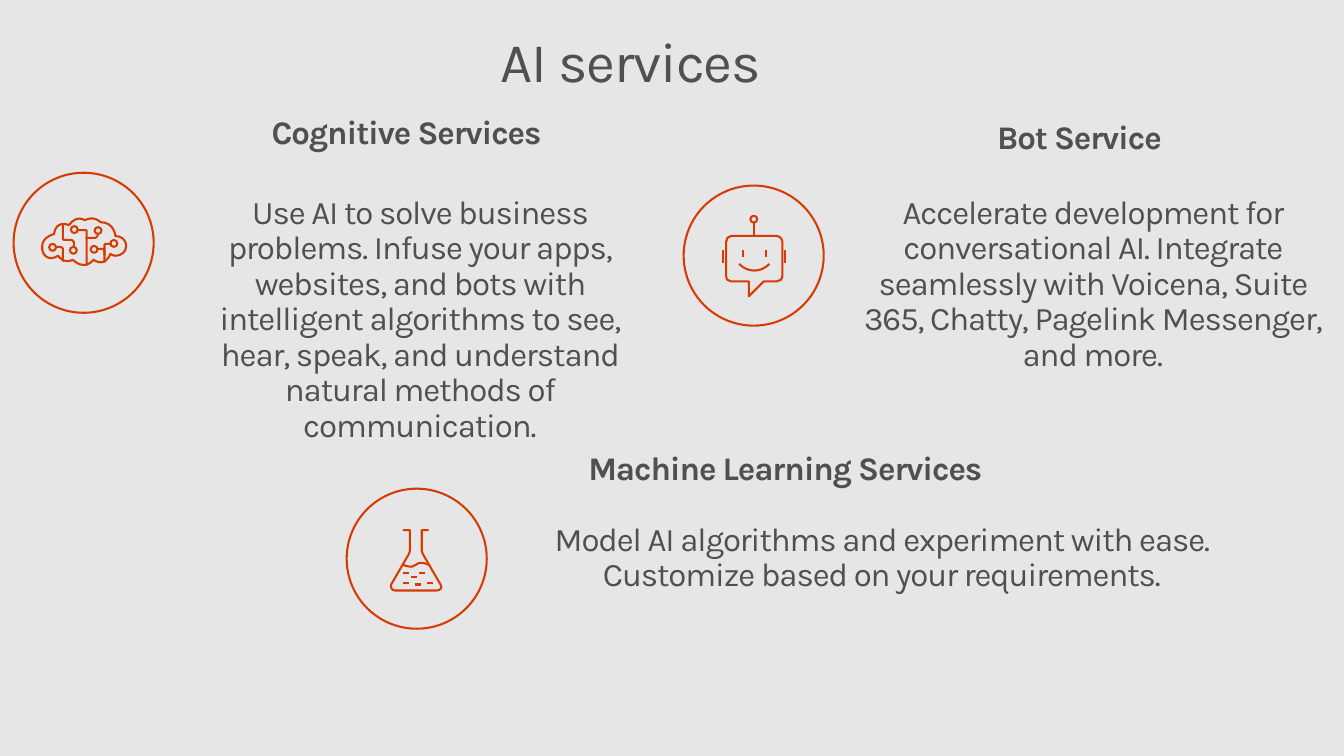
from pptx import Presentation
from pptx import util as u
from pptx.dml import color
from pptx.enum import shapes, text
from pptx.oxml import ns, xmlchemy

COLORS = {"background": "E6E6E6", "text": "505050", "accent": "D83B01"}
FONT = "Karla"
BADGE_SIZE = u.Cm(3.6)
ICON_UNIT = u.Cm(2.54) / 100
NODE_RADIUS = 3.5
NODE_HANDLE = 0.55 * NODE_RADIUS

BRAIN = {
    "nodes": [(101.5, 71.5), (81.5, 77.5), (61.5, 57.5),
              (85.5, 58.5), (60.5, 78.5), (39.5, 75.5)],
    "strokes": [
        "M 50 89 L 50 77 C 50 77 49 75 48 75 L 43 75",
        "M 74 93 L 74 59 C 74 58 73 58 72 58 L 65 58",
        "M 74 66 L 83 66 C 84 66 85 65 85 64 L 85 62",
        "M 50 52 L 50 67 C 50 68 51 68 52 68 L 59 68 C 60 68 61 69 61 70 L 61 75",
        "M 98 72 L 94 72 C 93 72 92 72 92 73 L 92 82",
        "M 92 90 L 92 79 C 92 78 92 77 90 77 L 85 77",
        "M 98 82 C 99 83 101 84 103 84 C 109 84 114 80 114 74 "
        "C 114 68 109 64 103 64 C 103 64 102 50 88 50 C 88 50 82 43 72 48 "
        "C 72 48 64 42 56 53 C 56 53 43 47 41 62 C 41 62 29 65 29 74 "
        "C 28 84 36 90 45 84 C 45 84 51 93 60 88 C 60 88 71 100 81 88 "
        "C 81 88 92 97 98 82 Z",
    ],
}
ROBOT = {
    "nodes": [(71, 34)],
    "strokes": [
        "M 60 66 L 60 71",
        "M 83 66 L 83 71",
        "M 40 66 L 40 77",
        "M 103 66 L 103 77",
        "M 71 38 L 71 51",
        "M 66 97 L 66 112 L 81 97 L 94 97 C 97 97 100 95 100 91 L 100 57 "
        "C 100 54 97 51 94 51 L 48 51 C 45 51 43 54 43 57 L 43 91 "
        "C 43 95 45 97 48 97 Z",
        "M 57 80 C 65 88 78 88 86 80",
    ],
}
BUBBLES = [(58, 95), (66, 89), (58, 85), (74, 85), (82, 95), (70, 97)]
FLASK = {
    "nodes": [],
    "strokes": [
        "M 83 77 C 83 77 79 75 75 75 C 70 75 70 79 66 79 C 61 79 57 77 57 77",
        "M 58 42 L 64 42 L 64 63 C 64 64 64 65 63 66 L 45 97 "
        "C 44 100 46 103 49 103 L 91 103 C 95 103 97 100 95 97 L 77 66 "
        "C 76 65 76 64 76 63 L 76 42 L 82 42",
    ] + [f"M {x} {y} L {x + 4} {y}" for x, y in BUBBLES],
}

SERVICES = [
    {
        "heading": "Cognitive Services",
        "heading_box": (3.53, 2.58, 13.84, 1.75),
        "body": "Use AI to solve business problems. Infuse your apps, websites, "
                "and bots with intelligent algorithms to see, hear, speak, and "
                "understand natural methods of communication.",
        "body_box": (4.21, 4.62, 13.16, 5.44),
        "icon": BRAIN,
        "badge": (0.35, 4.44),
    },
    {
        "heading": "Bot Service",
        "heading_box": (21.62, 2.69, 12.24, 1.75),
        "body": "Accelerate development for conversational AI. Integrate "
                "seamlessly with Voicena, Suite 365, Chatty, Pagelink Messenger, "
                "and more.",
        "body_box": (21.62, 4.62, 12.93, 5.44),
        "icon": ROBOT,
        "badge": (17.57, 4.77),
    },
    {
        "heading": "Machine Learning Services",
        "heading_box": (13.26, 11.22, 13.84, 1.75),
        "body": "Model AI algorithms and experiment with ease. Customize based "
                "on your requirements.",
        "body_box": (12.18, 13.03, 20.96, 2.67),
        "icon": FLASK,
        "badge": (8.91, 12.56),
    },
]


def rgb(name):
    return color.RGBColor.from_string(COLORS[name])


def add_text(slide, words, box, size=24, bold=False):
    caption = slide.shapes.add_textbox(*map(u.Cm, box))
    frame = caption.text_frame
    frame.word_wrap = True
    frame.auto_size = text.MSO_AUTO_SIZE.SHAPE_TO_FIT_TEXT
    frame.margin_left = frame.margin_right = u.Cm(0.51)
    frame.margin_top = frame.margin_bottom = u.Cm(0.41)
    paragraph = frame.paragraphs[0]
    paragraph.alignment = text.PP_ALIGN.CENTER
    paragraph.line_spacing = 0.9
    paragraph.space_after = u.Pt(6)
    run = paragraph.add_run()
    run.text = words
    run.font._element.set("spc", "-80")
    font = paragraph.font
    font.name = FONT
    font.size = u.Pt(size)
    font.bold = bold
    font.color.rgb = rgb("text")


def style_outline(outline):
    outline.shadow.inherit = False
    outline.fill.background()
    outline.line.color.rgb = rgb("accent")
    outline.line.width = u.Pt(1.5)
    outline.line._get_or_add_ln().set("cap", "sq")


def node_stroke(x, y):
    r, h = NODE_RADIUS, NODE_HANDLE
    return (f"M {x + r} {y} C {x + r} {y + h} {x + h} {y + r} {x} {y + r} "
            f"C {x - h} {y + r} {x - r} {y + h} {x - r} {y} "
            f"C {x - r} {y - h} {x - h} {y - r} {x} {y - r} "
            f"C {x + h} {y - r} {x + r} {y - h} {x + r} {y} Z")


def bend_curves(outline, commands):
    lines = iter(list(outline._element.iter(ns.qn("a:lnTo"))))
    for command in commands:
        line = next(lines)
        if command == "C":
            curve = xmlchemy.OxmlElement("a:cubicBezTo")
            line.addprevious(curve)
            for control in (line, next(lines), next(lines)):
                curve.append(control[0])
                control.getparent().remove(control)


def add_icon(slide, icon, left, top):
    strokes = [node_stroke(*node) for node in icon["nodes"]] + icon["strokes"]
    builder = None
    for stroke in strokes:
        values = [float(token) for token in stroke.split() if not token.isalpha()]
        points = [(left + x * ICON_UNIT, top + y * ICON_UNIT)
                  for x, y in zip(values[::2], values[1::2])]
        if builder is None:
            builder = slide.shapes.build_freeform(*points[0])
        else:
            builder.move_to(*points[0])
        builder.add_line_segments(points[1:], close=stroke.endswith("Z"))
    outline = builder.convert_to_shape()
    bend_curves(outline, [token for token in " ".join(strokes).split()
                          if token in ("L", "C")])
    style_outline(outline)


def add_badge(slide, icon, position):
    left, top = map(u.Cm, position)
    ring = slide.shapes.add_shape(
        shapes.MSO_SHAPE.OVAL, left, top, BADGE_SIZE, BADGE_SIZE)
    style_outline(ring)
    add_icon(slide, icon, left, top)


def main():
    deck = Presentation()
    deck.slide_width = u.Cm(34.54)
    deck.slide_height = u.Cm(19.43)
    slide = deck.slides.add_slide(deck.slide_layouts[6])
    slide.background.fill.solid()
    slide.background.fill.fore_color.rgb = rgb("background")
    add_text(slide, "AI services", (7.98, 0.46, 16.46, 2.39), size=40.8)
    for service in SERVICES:
        add_badge(slide, service["icon"], service["badge"])
        add_text(slide, service["heading"], service["heading_box"], bold=True)
        add_text(slide, service["body"], service["body_box"])
    deck.save("out.pptx")


if __name__ == "__main__":
    main()
